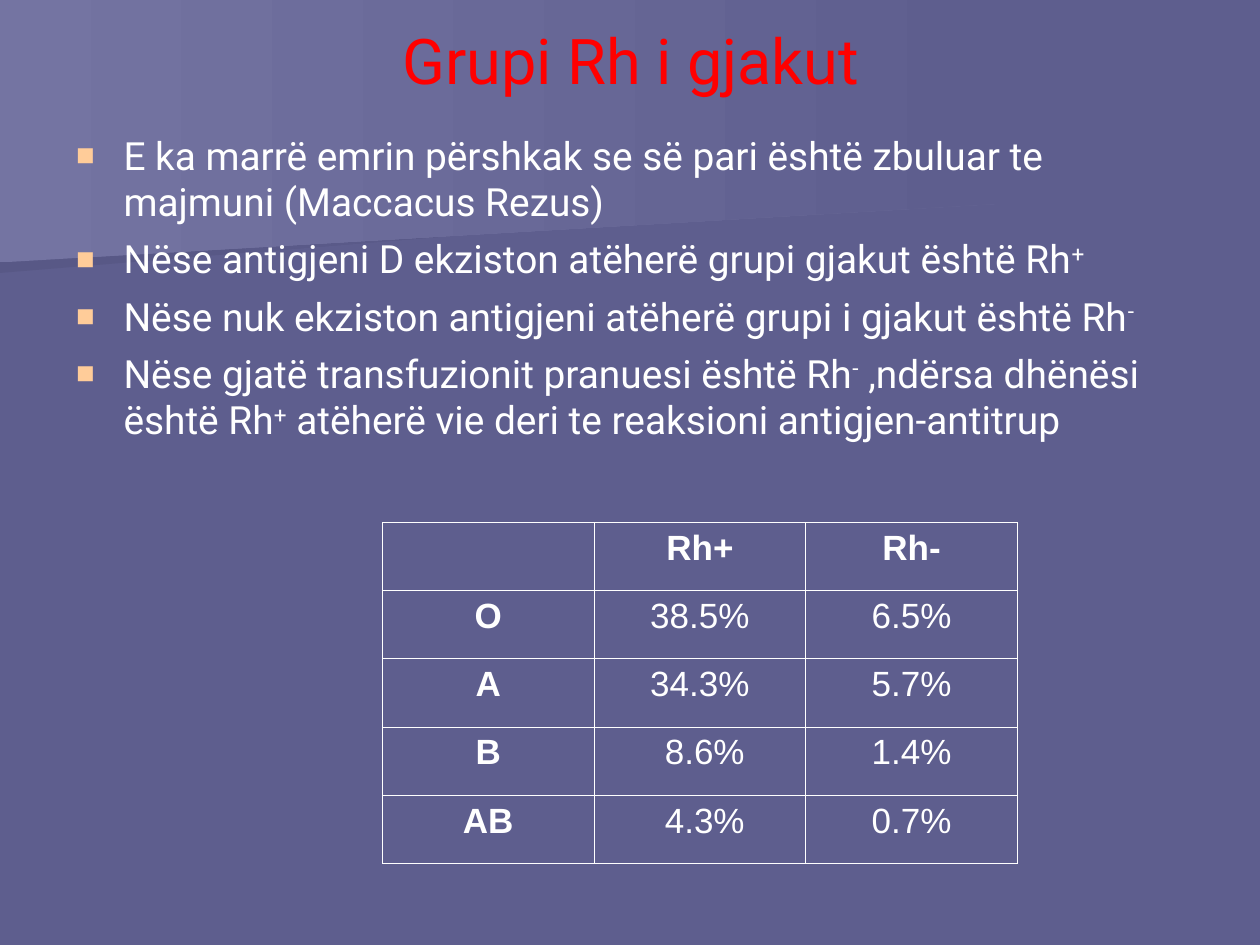
from lxml.etree import SubElement
from pptx import Presentation
from pptx.dml.color import RGBColor
from pptx.enum.text import MSO_ANCHOR as Anchor, PP_ALIGN as Align
from pptx.oxml.ns import qn
from pptx.util import Pt

WHITE, RED, PEACH = "FFFFFF", "FF0000", "FFCC99"
BACKGROUND, LIGHT_BAND, DARK_BAND = "5E5E8E", "7474A2", "585886"

# Each bullet is a list of (text, is superscript)
BULLETS = [
    [("E ka marrë emrin përshkak se së pari është zbuluar te majmuni (Maccacus Rezus)", False)],
    [("Nëse antigjeni D ekziston atëherë grupi gjakut është Rh", False), ("+", True)],
    [("Nëse nuk ekziston antigjeni atëherë grupi i gjakut është Rh", False), ("-", True)],
    [("Nëse gjatë transfuzionit pranuesi është Rh", False), ("-", True),
     (" ,ndërsa dhënësi është Rh", False), ("+", True),
     (" atëherë vie deri te reaksioni antigjen-antitrup", False)],
]
BLOOD_GROUPS = [
    ["", "Rh+", "Rh-"],
    ["O", "38.5%", "6.5%"],
    ["A", "34.3%", "5.7%"],
    ["B", " 8.6%", "1.4%"],
    ["AB", " 4.3%", "0.7%"],
]


def color(hex_code):
    return RGBColor.from_string(hex_code)


def style(paragraph, name, size, hex_code, bold=False):
    font = paragraph.font
    font.name, font.size, font.bold = name, Pt(size), bold
    font.color.rgb = color(hex_code)


def add_band(slide, corners, start_color):
    """Polygon that fades from start_color into the background."""
    first, *others = [(Pt(x), Pt(y)) for x, y in corners]
    builder = slide.shapes.build_freeform(*first, scale=1.0)
    builder.add_line_segments(others, close=True)
    band = builder.convert_to_shape()
    band.shadow.inherit = False
    band.line.fill.background()
    band.fill.gradient()
    band.fill.gradient_angle = 0
    for stop, position, shade in zip(band.fill.gradient_stops, (0, 1), (start_color, BACKGROUND)):
        stop.position = position
        stop.color.rgb = color(shade)


def add_backdrop(slide):
    slide.background.fill.solid()
    slide.background.fill.fore_color.rgb = color(BACKGROUND)
    add_band(slide, [(560.5, 110), (0, 156), (0, 73), (561, 73)], DARK_BAND)
    add_band(slide, [(570, 116.5), (0, 150), (0, 0), (570, 0)], LIGHT_BAND)


def add_text_frame(slide, left, top, width, height):
    frame = slide.shapes.add_textbox(Pt(left), Pt(top), Pt(width), Pt(height)).text_frame
    frame.word_wrap = True
    return frame


def add_title(slide, left, top, width, height):
    frame = add_text_frame(slide, left, top, width, height)
    frame.vertical_anchor = Anchor.MIDDLE
    heading = frame.paragraphs[0]
    heading.text = "Grupi Rh i gjakut"
    heading.alignment = Align.CENTER
    style(heading, "Roboto", 36, RED)


def add_square_bullet(paragraph, indent):
    props = paragraph._p.get_or_add_pPr()
    props.set("marL", str(Pt(indent)))
    props.set("indent", str(-Pt(indent)))
    SubElement(SubElement(props, qn("a:buClr")), qn("a:srgbClr"), val=PEACH)
    SubElement(props, qn("a:buSzPct"), val="80000")
    SubElement(props, qn("a:buFont"), typeface="Arial")
    SubElement(props, qn("a:buChar"), char="■")


def add_bullets(slide, left, top, width, height):
    frame = add_text_frame(slide, left, top, width, height)
    for index, pieces in enumerate(BULLETS):
        bullet = frame.add_paragraph() if index else frame.paragraphs[0]
        bullet.space_before = Pt(6 if index else 0)
        add_square_bullet(bullet, 27)
        style(bullet, "Roboto", 22.2, WHITE)
        for text, raised in pieces:
            run = bullet.add_run()
            run.text = text
            if raised:
                run.font._element.set("baseline", "30000")


def add_borders(cell):
    props = cell._tc.get_or_add_tcPr()
    for side in ("a:lnL", "a:lnR", "a:lnT", "a:lnB"):
        border = SubElement(props, qn(side), w=str(Pt(0.45)))
        SubElement(SubElement(border, qn("a:solidFill")), qn("a:srgbClr"), val=WHITE)


def add_blood_group_table(slide, left, top, width, height):
    table = slide.shapes.add_table(len(BLOOD_GROUPS), len(BLOOD_GROUPS[0]),
                                   Pt(left), Pt(top), Pt(width), Pt(height)).table
    table.first_row = table.horz_banding = False
    for row, values in enumerate(BLOOD_GROUPS):
        for column, value in enumerate(values):
            cell = table.cell(row, column)
            add_borders(cell)
            cell.fill.background()
            cell.text = value
            entry = cell.text_frame.paragraphs[0]
            entry.alignment = Align.CENTER
            style(entry, "Arial", 20, WHITE, bold=row == 0 or column == 0)


def main():
    deck = Presentation()
    deck.slide_width, deck.slide_height = Pt(720), Pt(540)
    slide = deck.slides.add_slide(deck.slide_layouts[6])
    add_backdrop(slide)
    add_title(slide, 36.5, 0, 648, 68)
    add_bullets(slide, 36.5, 71.5, 648, 255.5)
    add_blood_group_table(slide, 218.5, 298.5, 363, 195)
    deck.save("out.pptx")


if __name__ == "__main__":
    main()
